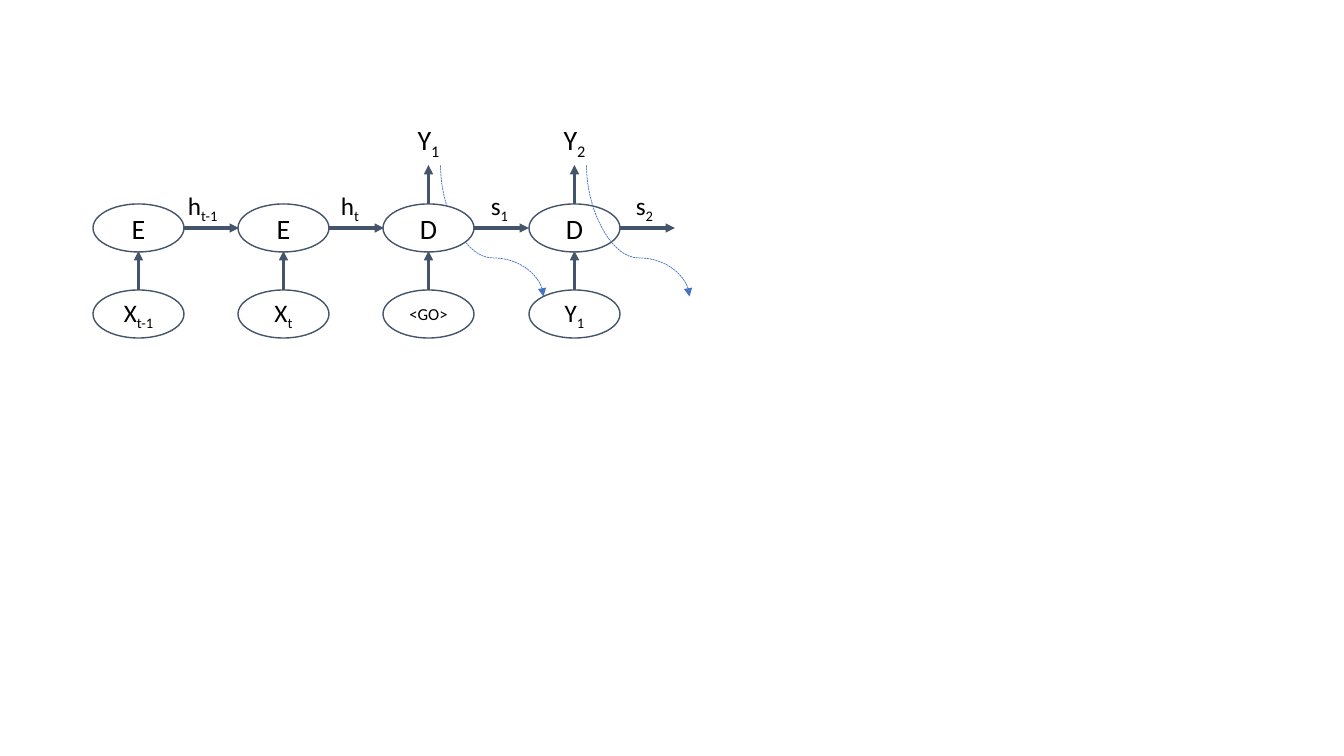
from pptx import Presentation
from pptx.dml.color import RGBColor
from pptx.enum.dml import MSO_LINE
from pptx.enum.shapes import MSO_CONNECTOR, MSO_SHAPE
from pptx.enum.text import MSO_ANCHOR, PP_ALIGN
from pptx.oxml.ns import qn
from pptx.util import Pt
from lxml.etree import SubElement

PIXEL = 914400 / 100.8
COLOR = {"edge": "44546A", "loop": "4472C4", "node": "FFFFFF", "text": "000000"}
WIDTH, HEIGHT = 91, 48      # one ellipse
ROW = 86                    # from one row of ellipses to the next
TOP = 118                   # top of the output row


def px(*sizes):
    """Turn pixels into EMU."""
    return [round(size * PIXEL) for size in sizes]


def tint(name):
    """Look up a colour by name."""
    return RGBColor.from_string(COLOR[name])


def write(shape, text, size, align):
    """Write a symbol, with the part after "_" as its subscript."""
    frame = shape.text_frame
    frame.word_wrap = False
    line = frame.paragraphs[0]
    line.alignment = align
    base, _, sub = text.partition("_")
    for part, shift in ((base, 0), (sub, -25000)):
        if part:
            run = line.add_run()
            run.text = part
            run.font.name = "Calibri"
            run.font.size = Pt(size)
            run.font.color.rgb = tint("text")
            if shift:
                run._r.get_or_add_rPr().set("baseline", str(shift))


def node(page, left, top, text, size, edge=True, fill=False):
    """Draw an ellipse with a centred symbol."""
    oval = page.shapes.add_shape(MSO_SHAPE.OVAL, *px(left, top, WIDTH, HEIGHT))
    oval.shadow.inherit = False
    if fill:
        oval.fill.solid()
        oval.fill.fore_color.rgb = tint("node")
    else:
        oval.fill.background()
    if edge:
        oval.line.color.rgb = tint("edge")
        oval.line.width = Pt(1)
    else:
        oval.line.fill.background()
    oval.text_frame.vertical_anchor = MSO_ANCHOR.MIDDLE
    write(oval, text, size, PP_ALIGN.CENTER)


def arrow(page, ends, color="edge", width=2.25, kind=MSO_CONNECTOR.STRAIGHT):
    """Draw a connector with a triangle at its end."""
    link = page.shapes.add_connector(kind, *px(*ends))
    link.line.color.rgb = tint(color)
    link.line.width = Pt(width)
    SubElement(link.line._get_or_add_ln(), qn("a:tailEnd"), type="triangle")
    SubElement(link._element.spPr, qn("a:effectLst"))
    return link


def loop(page, left, top):
    """Draw the dotted curve from an output to the next input."""
    wide, high = 131, 103   # box before its quarter turn
    x, y = left + 109 - wide / 2, top + 113 - high / 2
    link = arrow(page, (x + wide, y, x, y + high), "loop", 0.5, MSO_CONNECTOR.CURVE)
    link.line.dash_style = MSO_LINE.SQUARE_DOT
    spot = link._element.spPr
    spot.find(qn("a:xfrm")).set("rot", "16200000")
    guides = spot.find(qn("a:prstGeom")).get_or_add_avLst()
    SubElement(guides, qn("a:gd"), name="adj1", fmla="val 70500")


def step(page, left, top, cell, entry, size, state, shift, wide, result):
    """Draw one time step: input, cell, state and, if any, output."""
    mid, unit, base = left + WIDTH / 2, top + ROW, top + 2 * ROW
    node(page, left, base, entry, size)
    node(page, left, unit, cell, 20, fill=bool(result))
    side = unit + HEIGHT / 2
    arrow(page, (left + WIDTH, side, left + WIDTH + 55, side))
    arrow(page, (mid, base, mid, base - 39))
    label = page.shapes.add_textbox(*px(left + shift, unit - 19, wide, 40))
    write(label, state, 18, PP_ALIGN.LEFT)
    if result:
        node(page, left, top, result, 20, edge=False)
        arrow(page, (mid, unit, mid, unit - 39))


def main():
    """Build the encoder and decoder chain."""
    deck = Presentation()
    deck.slide_width, deck.slide_height = px(1344, 756)
    page = deck.slides.add_slide(deck.slide_layouts[6])
    steps = [
        (93, "E", "X_t-1", 18, "h_t-1", 85, 52, None),
        (238, "E", "X_t", 18, "h_t", 93, 39, None),
        (383, "D", "<GO>", 12, "s_1", 98, 39, "Y_1"),
        (529, "D", "Y_1", 18, "s_2", 97, 39, "Y_2"),
    ]
    loop(page, steps[2][0], TOP)    # runs behind its cell
    for left, *parts in steps:
        step(page, left, TOP, *parts)
    loop(page, steps[3][0], TOP)    # runs in front of its cell
    deck.save("out.pptx")


main()
